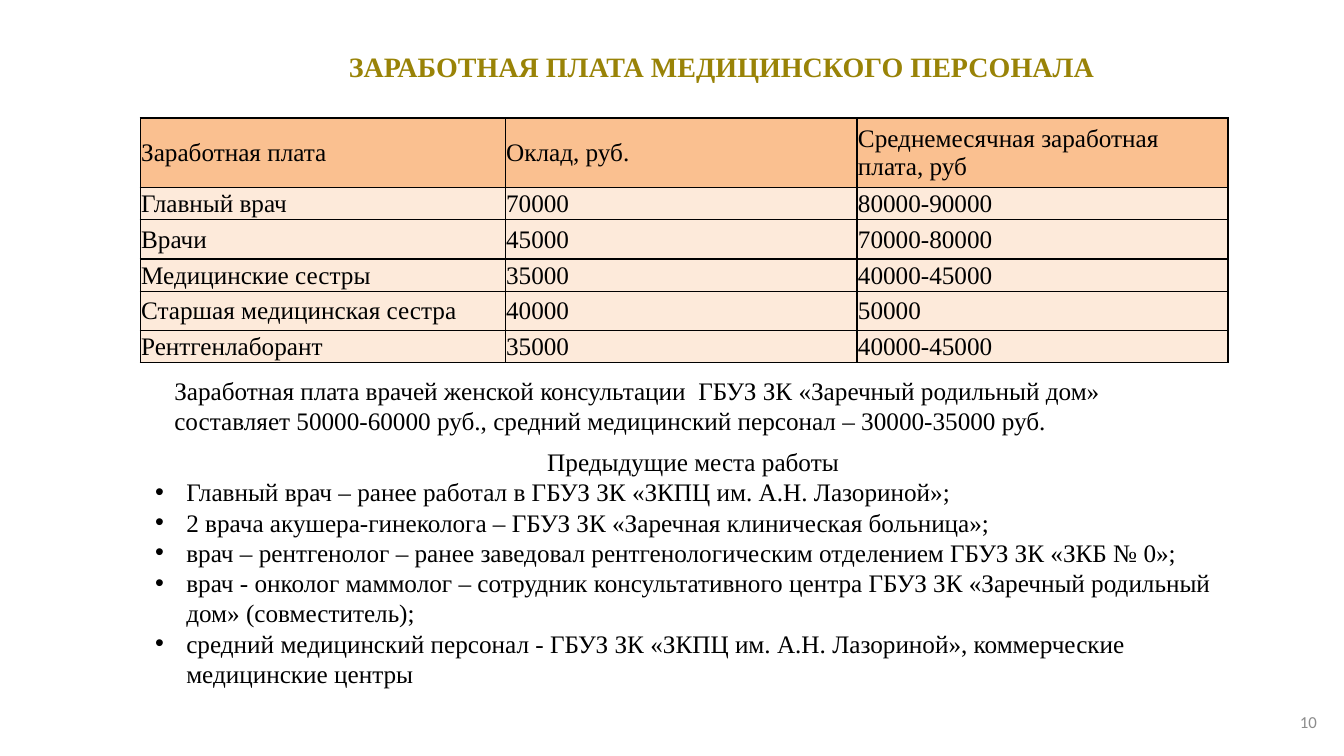
"""Build the slide on medical staff salaries and previous workplaces."""
from lxml.etree import SubElement
from pptx import Presentation
from pptx.dml.color import RGBColor
from pptx.enum.text import MSO_ANCHOR, PP_ALIGN
from pptx.oxml.ns import qn
from pptx.util import Inches, Pt

TITLE = "ЗАРАБОТНАЯ ПЛАТА МЕДИЦИНСКОГО ПЕРСОНАЛА"
SALARIES = [
    ("Заработная плата", "Оклад, руб.", "Среднемесячная заработная плата, руб"),
    ("Главный врач", "70000", "80000-90000"),
    ("Врачи", "45000", "70000-80000"),
    ("Медицинские сестры", "35000", "40000-45000"),
    ("Старшая медицинская сестра", "40000", "50000"),
    ("Рентгенлаборант", "35000", "40000-45000"),
]
MATERNITY_HOSPITAL = "ГБУЗ ЗК «Заречный родильный дом»"
PERINATAL_CENTRE = "ГБУЗ ЗК «ЗКПЦ им. А.Н. Лазориной»"
COMPARISON = (
    f"Заработная плата врачей женской консультации  {MATERNITY_HOSPITAL} "
    "составляет 50000-60000 руб., средний медицинский персонал – 30000-35000 руб."
)
WORKPLACES_HEADING = "Предыдущие места работы"
WORKPLACES = [
    f"Главный врач – ранее работал в {PERINATAL_CENTRE};",
    "2 врача акушера-гинеколога – ГБУЗ ЗК «Заречная клиническая больница»;",
    "врач – рентгенолог – ранее заведовал рентгенологическим отделением ГБУЗ ЗК «ЗКБ № 0»;",
    f"врач - онколог маммолог – сотрудник консультативного центра {MATERNITY_HOSPITAL} "
    "(совместитель);",
    f"средний медицинский персонал - {PERINATAL_CENTRE}, коммерческие медицинские центры",
]
PAGE_NUMBER = "10"

COLORS = {"title": "998307", "text": "000000", "number": "8C8C8C",
          "header": "FAC090", "body": "FDEADA", "border": "000000"}
COLUMN_WIDTHS = (3.62, 3.49, 3.68)
ROW_HEIGHTS = (0.69, 0.32, 0.39, 0.32, 0.39, 0.32)
CELL_MARGIN = 0.01
BULLET_INDENT = 0.31


def add_run(paragraph, text, size=18, color="text", font="Times New Roman", bold=False):
    run = paragraph.add_run()
    run.text = text
    run.font.size = Pt(size)
    run.font.name = font
    run.font.bold = bold
    run.font.color.rgb = RGBColor.from_string(COLORS[color])


def add_text_frame(slide, left, top, width, height):
    box = slide.shapes.add_textbox(Inches(left), Inches(top), Inches(width), Inches(height))
    box.text_frame.word_wrap = True
    return box.text_frame


def set_bullet(paragraph):
    properties = paragraph._p.get_or_add_pPr()
    properties.set("marL", str(Inches(BULLET_INDENT)))
    properties.set("indent", str(-Inches(BULLET_INDENT)))
    SubElement(properties, qn("a:buFont"), typeface="Arial")
    SubElement(properties, qn("a:buChar"), char="•")


def set_borders(cell):
    properties = cell._tc.get_or_add_tcPr()
    for side in ("lnL", "lnR", "lnT", "lnB"):
        line = SubElement(properties, qn(f"a:{side}"), w=str(Pt(1)))
        fill = SubElement(line, qn("a:solidFill"))
        SubElement(fill, qn("a:srgbClr"), val=COLORS["border"])


def add_title(slide):
    title = slide.shapes.title
    title.left, title.top = Inches(0.97), Inches(0.4)
    title.width, title.height = Inches(12.37), Inches(0.46)
    frame = title.text_frame
    frame.word_wrap = True
    frame.vertical_anchor = MSO_ANCHOR.MIDDLE
    paragraph = frame.paragraphs[0]
    paragraph.alignment = PP_ALIGN.CENTER
    paragraph.line_spacing = 1.15
    add_run(paragraph, TITLE, size=20, color="title", bold=True)


def add_salary_table(slide):
    table = slide.shapes.add_table(
        len(SALARIES), len(COLUMN_WIDTHS), Inches(1.39), Inches(1.17),
        Inches(sum(COLUMN_WIDTHS)), Inches(sum(ROW_HEIGHTS))).table
    table.first_row = False
    table.horz_banding = False
    for column, width in zip(table.columns, COLUMN_WIDTHS):
        column.width = Inches(width)
    for row_index, (row, height) in enumerate(zip(table.rows, ROW_HEIGHTS)):
        row.height = Inches(height)
        for cell, text in zip(row.cells, SALARIES[row_index]):
            cell.margin_left = cell.margin_right = cell.margin_top = Inches(CELL_MARGIN)
            cell.margin_bottom = 0
            cell.vertical_anchor = MSO_ANCHOR.MIDDLE
            set_borders(cell)
            cell.fill.solid()
            fill_name = "body" if row_index else "header"
            cell.fill.fore_color.rgb = RGBColor.from_string(COLORS[fill_name])
            add_run(cell.text_frame.paragraphs[0], text)


def add_workplaces(slide):
    frame = add_text_frame(slide, 1.44, 4.38, 10.87, 2.83)
    heading = frame.paragraphs[0]
    heading.alignment = PP_ALIGN.CENTER
    add_run(heading, WORKPLACES_HEADING)
    for workplace in WORKPLACES:
        paragraph = frame.add_paragraph()
        set_bullet(paragraph)
        add_run(paragraph, workplace)


def add_page_number(slide):
    frame = add_text_frame(slide, 10.05, 6.96, 3.11, 0.4)
    frame.vertical_anchor = MSO_ANCHOR.MIDDLE
    paragraph = frame.paragraphs[0]
    paragraph.alignment = PP_ALIGN.RIGHT
    add_run(paragraph, PAGE_NUMBER, size=12, color="number", font="Calibri")


def main():
    presentation = Presentation()
    presentation.slide_width = Inches(13.33)
    presentation.slide_height = Inches(7.5)
    slide = presentation.slides.add_slide(presentation.slide_layouts[5])
    add_title(slide)
    add_page_number(slide)
    add_salary_table(slide)
    add_run(add_text_frame(slide, 1.63, 3.67, 10.42, 0.71).paragraphs[0], COMPARISON)
    add_workplaces(slide)
    presentation.save("out.pptx")


if __name__ == "__main__":
    main()
